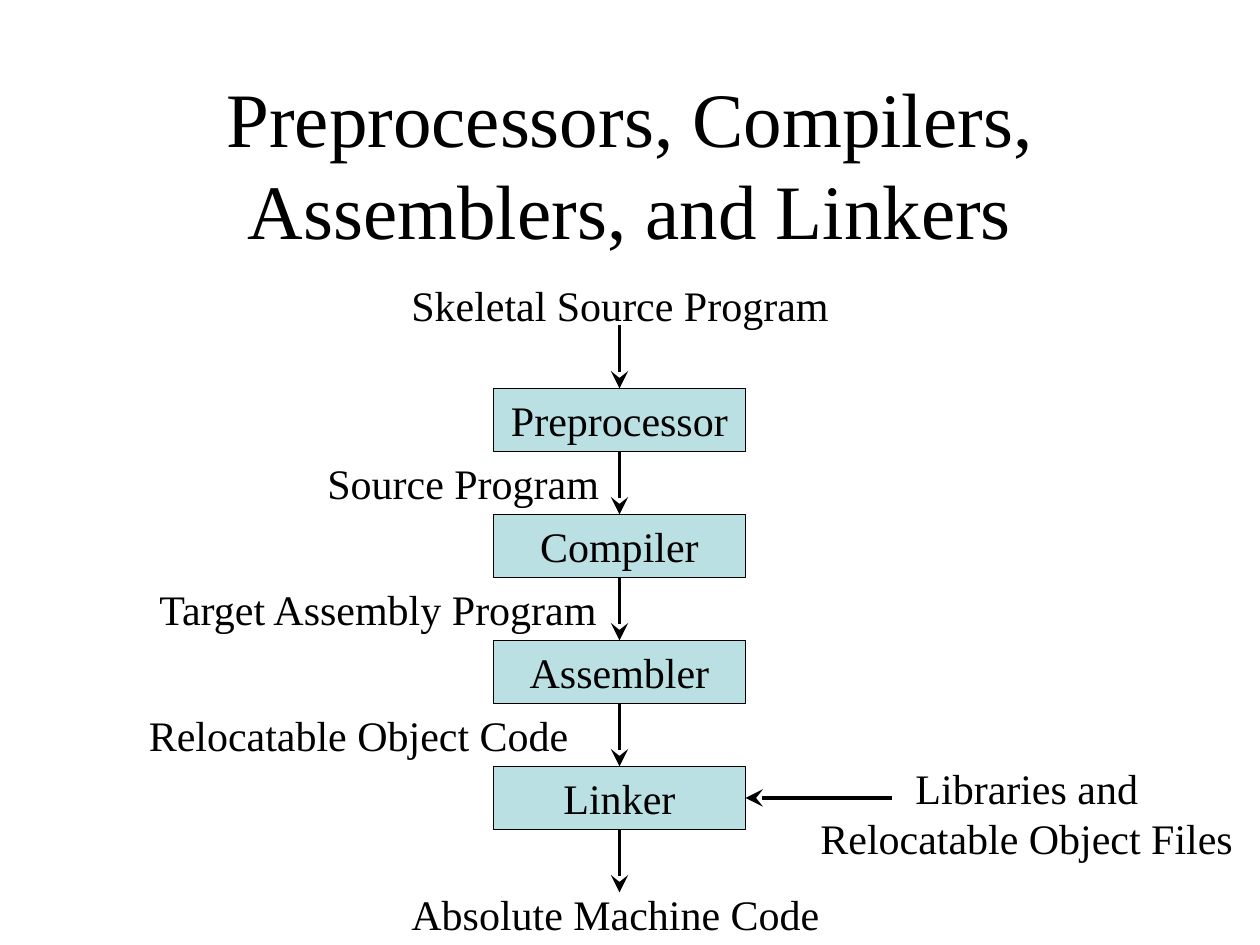
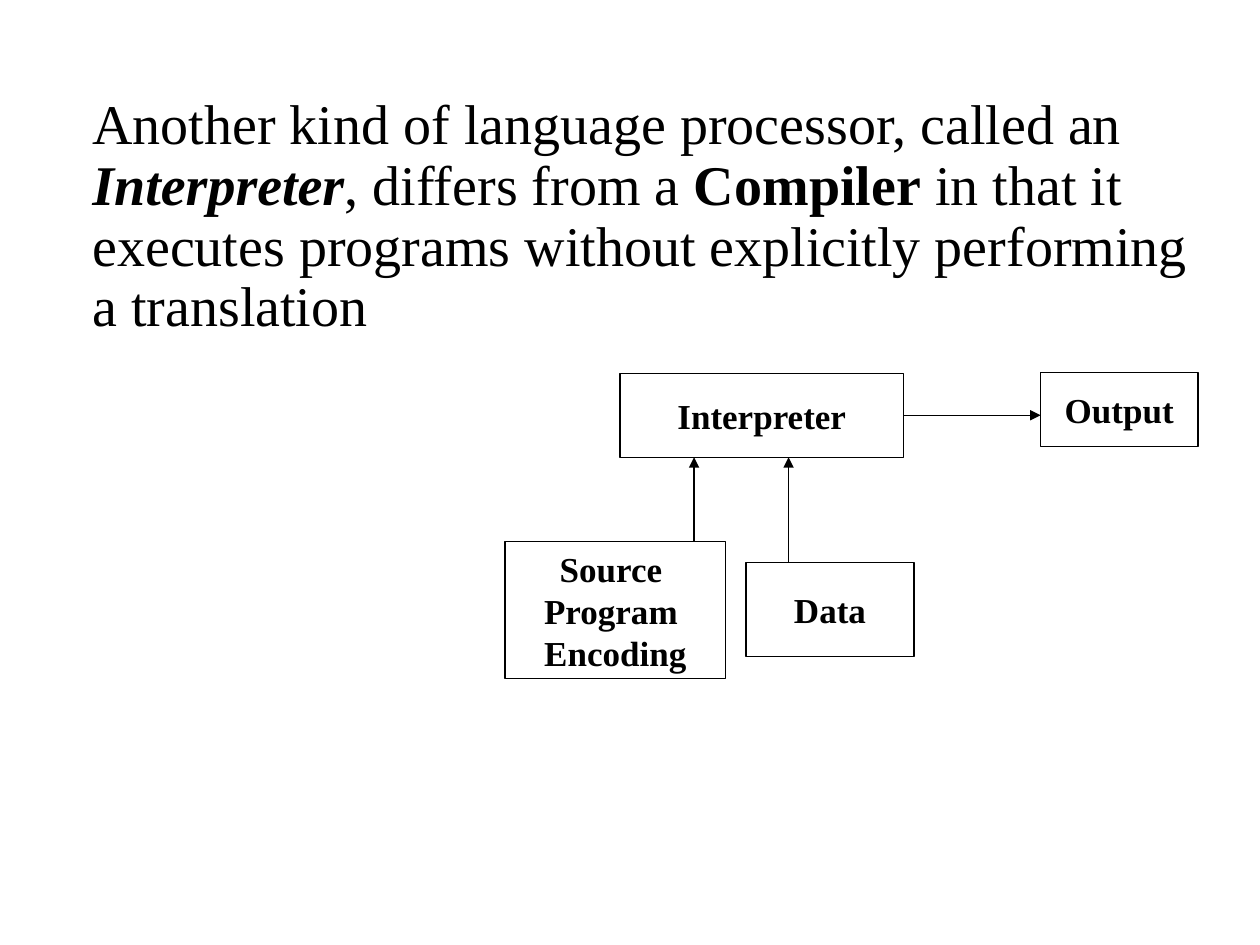
from lxml.etree import SubElement
from pptx import Presentation
from pptx.dml.color import RGBColor
from pptx.enum.shapes import MSO_CONNECTOR, MSO_SHAPE
from pptx.enum.text import MSO_ANCHOR, MSO_AUTO_SIZE, PP_ALIGN
from pptx.oxml.ns import qn
from pptx.util import Inches, Pt

COLORS = {name: RGBColor.from_string(value) for name, value in
          {"ink": "000000", "stage": "BBE0E3"}.items()}
FONT = "Times New Roman"

deck = Presentation()
deck.slide_width, deck.slide_height = Inches(10), Inches(7.5)

# The slide is a grid of 120 columns and 90 rows of square cells
CELL = deck.slide_width / 120


def write(holder, text, cells, size, align=PP_ALIGN.LEFT, bold=False):
    """Place a shape on the grid and give it formatted text."""
    holder.left, holder.top, holder.width, holder.height = (int(n * CELL) for n in cells)
    frame = holder.text_frame
    frame.text = text
    for paragraph in frame.paragraphs:
        paragraph.alignment = align
        for run in paragraph.runs:
            run.font.name, run.font.size, run.font.bold = FONT, Pt(size), bold
            run.font.color.rgb = COLORS["ink"]
    return frame


def add_arrow(slide, start, end, head, head_size, width):
    """Each end is a grid point (column, row) or a joint (shape, side)."""
    points = [(0, 0) if hasattr(tip[0], "shape_id") else tip for tip in (start, end)]
    arrow = slide.shapes.add_connector(
        MSO_CONNECTOR.STRAIGHT, *(int(n * CELL) for point in points for n in point))
    if hasattr(start[0], "shape_id"):
        arrow.begin_connect(*start)
    if hasattr(end[0], "shape_id"):
        arrow.end_connect(*end)
    arrow.line.color.rgb, arrow.line.width = COLORS["ink"], Pt(width)
    SubElement(arrow.line._get_or_add_ln(), qn("a:tailEnd"),
               type=head, w=head_size, len=head_size)
    SubElement(arrow._element.spPr, qn("a:effectLst"))


# Slide 1: the tool chain
chain = deck.slides.add_slide(deck.slide_layouts[5])
heading = write(chain.shapes.title, "Preprocessors, Compilers, Assemblers, and Linkers",
                (9, 8, 102, 15), 44, PP_ALIGN.CENTER)
heading.auto_size = MSO_AUTO_SIZE.NONE
heading.vertical_anchor = MSO_ANCHOR.MIDDLE

# Stages, one every 12 rows
STAGE_LEFT, STAGE_TOP, STAGE_WIDTH, STAGE_HEIGHT, STEP = 47, 37, 24, 6, 12
stages = []
for number, name in enumerate(["Preprocessor", "Compiler", "Assembler", "Linker"]):
    stage = chain.shapes.add_shape(MSO_SHAPE.RECTANGLE, 0, 0, 0, 0)
    stage.shadow.inherit = False
    stage.fill.solid()
    stage.fill.fore_color.rgb = COLORS["stage"]
    stage.line.color.rgb, stage.line.width = COLORS["ink"], Pt(0.75)
    cells = (STAGE_LEFT, STAGE_TOP + number * STEP, STAGE_WIDTH, STAGE_HEIGHT)
    write(stage, name, cells, 24, PP_ALIGN.CENTER).word_wrap = False
    stages.append(stage)

# What passes between the stages, in boxes a little wider than their text
program_forms = [
    ("Skeletal Source Program", 38, 26, 43, 6, PP_ALIGN.LEFT),
    ("Source Program", 30, 43, 29, 6, PP_ALIGN.LEFT),
    ("Target Assembly Program", 14, 55, 45.5, 6, PP_ALIGN.LEFT),
    ("Relocatable Object Code", 13, 67, 43.5, 6, PP_ALIGN.LEFT),
    ("Absolute Machine Code", 38, 84, 42, 6, PP_ALIGN.LEFT),
    ("Libraries and\nRelocatable Object Files", 76.3, 72, 43, 10.8, PP_ALIGN.CENTER),
]
for text, *cells, align in program_forms:
    form = chain.shapes.add_textbox(0, 0, 0, 0)
    frame = write(form, text, cells, 24, align)
    frame.word_wrap = False
    frame.auto_size = MSO_AUTO_SIZE.NONE

# Flow from top to bottom, with the libraries joining at the linker
axis = STAGE_LEFT + STAGE_WIDTH / 2
linker = stages[-1]
starts = [(axis, STAGE_TOP - 6)] + [(stage, 2) for stage in stages]
ends = [(stage, 0) for stage in stages] + [(axis, 85)]
for start, end in zip(starts + [(85, 76)], ends + [(linker, 3)]):
    add_arrow(chain, start, end, "stealth", "lg", 2)

# Slide 2: the interpreter
interpreting = deck.slides.add_slide(deck.slide_layouts[1])
unused_title = interpreting.shapes.title._element
unused_title.getparent().remove(unused_title)

# Definition
definition = interpreting.placeholders[1]
frame = write(definition, "", (7.6, 8.6, 107, 72.7), 32)
frame.auto_size = MSO_AUTO_SIZE.NONE
sentence = frame.paragraphs[0]
properties = sentence._p.get_or_add_pPr()
properties.set("marL", "0")
properties.set("indent", "0")
SubElement(properties, qn("a:buNone"))
sentence.line_spacing, sentence.space_before = 0.9, Pt(0)
for text, bold, italic in [
    ("Another kind of language processor, called an ", False, False),
    ("Interpreter", True, True),
    (", differs from a ", False, False),
    ("Compiler", True, False),
    (" in that it executes programs without explicitly performing a translation", False, False),
]:
    run = sentence.add_run()
    run.text = text
    run.font.name, run.font.size = FONT, Pt(32)
    run.font.bold, run.font.italic = bold, italic
    run.font.color.rgb = COLORS["ink"]

# Interpreter with its inputs and output
parts = {}
for text, *cells in [
    ("Source \nProgram \nEncoding", 48.1, 51.6, 21, 13),
    ("Output", 99.1, 35.5, 15, 7),
    ("Interpreter", 59.05, 35.55, 27, 8),
    ("Data", 71.05, 53.55, 16, 9),
]:
    part = interpreting.shapes.add_shape(MSO_SHAPE.RECTANGLE, 0, 0, 0, 0)
    part.shadow.inherit = False
    part.fill.background()
    part.line.color.rgb, part.line.width = COLORS["ink"], Pt(0.75)
    write(part, text, cells, 20, PP_ALIGN.CENTER, bold=True).word_wrap = False
    parts[text] = part

for start, end in [
    ((66.1, 51.6), (66.1, 43.55)),
    ((75.1, 53.55), (75.1, 43.55)),
    ((parts["Interpreter"], 3), (99.1, 39.55)),
]:
    add_arrow(interpreting, start, end, "triangle", "med", 0.75)

deck.save("out.pptx")
